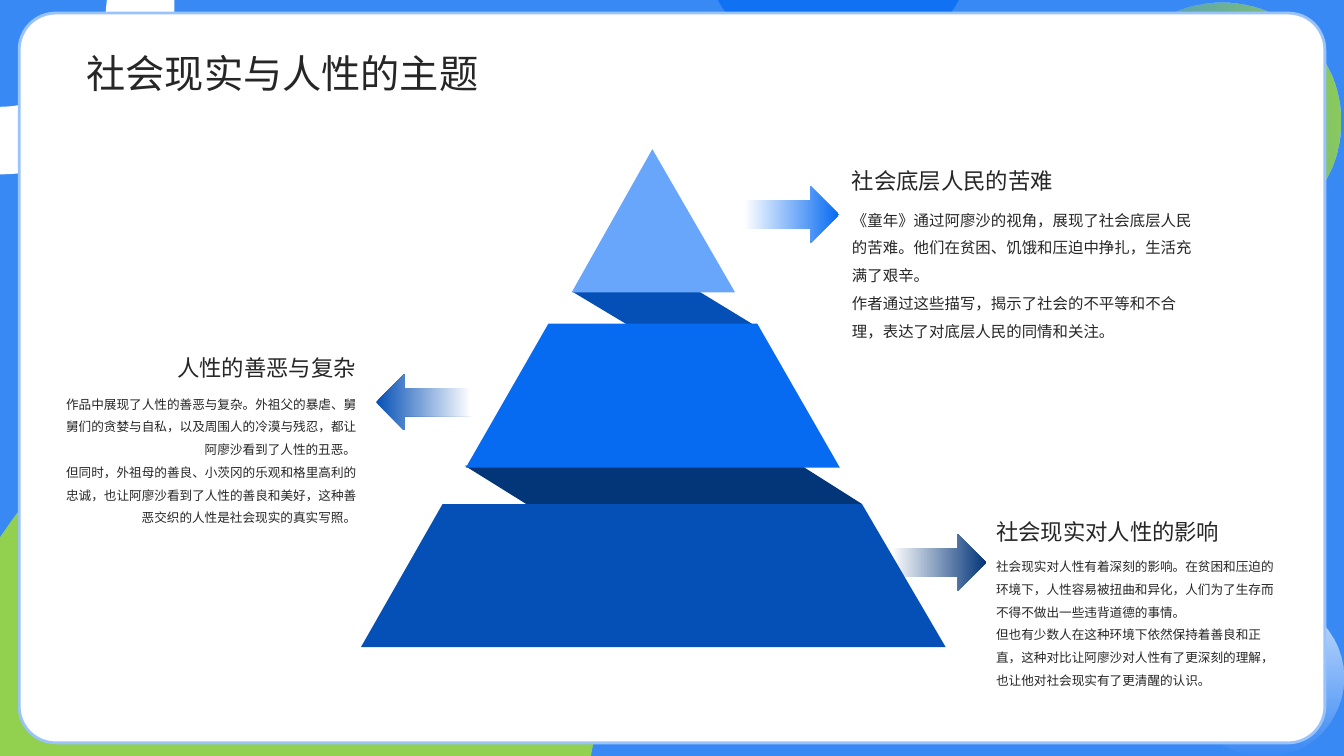
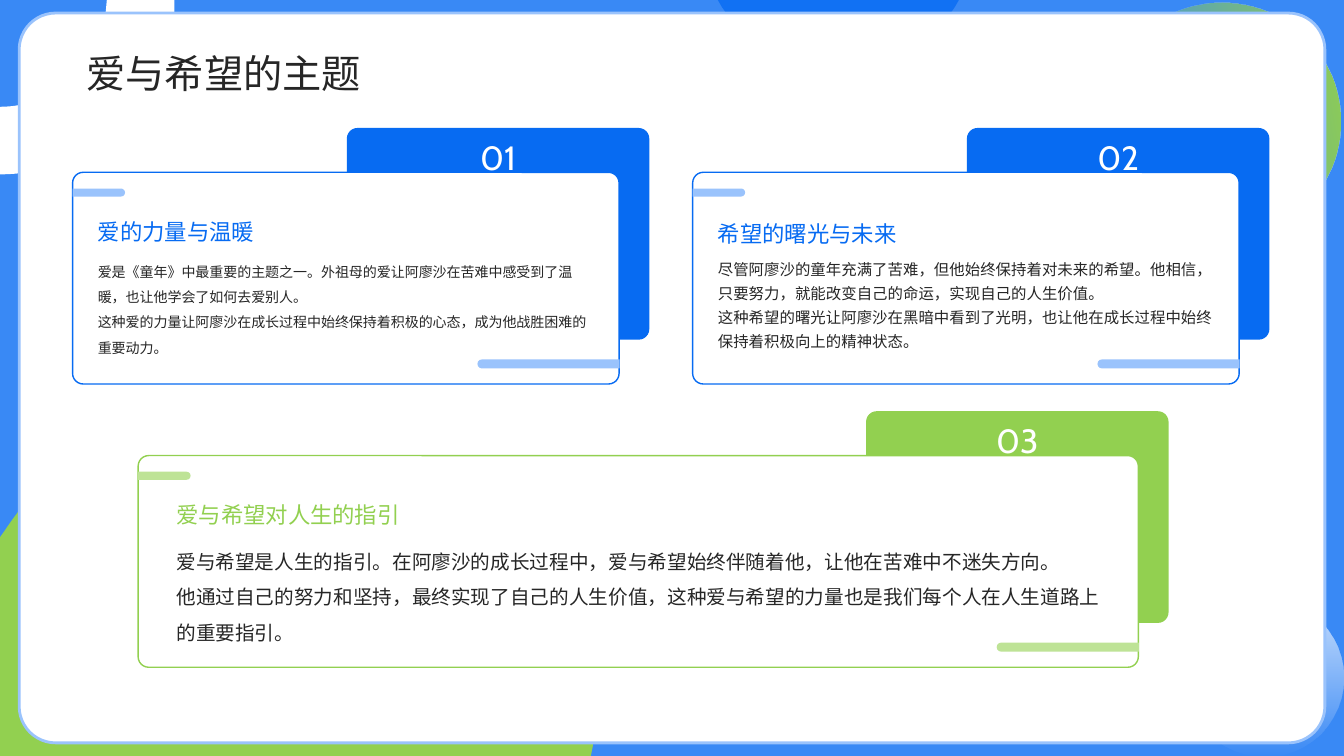
from lxml import etree
from pptx import Presentation, util as u
from pptx.dml.color import RGBColor
from pptx.enum import shapes, text
from pptx.oxml.ns import qn

PX = 9144
WIDTH, HEIGHT = 1333, 750
KIND = shapes.MSO_SHAPE


class Theme:
    sky = "3989F5"
    cap = "1171F3"
    pale = "CCE1FE"
    rim = "9AC3FC"
    light = "67A6FB"
    blue = "076BF2"
    deep = "0550B6"
    navy = "033579"
    green = "92D050"
    mint = "BEE396"
    white = "FFFFFF"
    ink = "262626"
    body_font = "Noto Sans CJK SC"
    number_font = "Cabin"
    title_size = 28
    number_size = 24
    heading_size = 16
    large_size = 14
    medium_size = 11
    small_size = 10
    tiny_size = 9


def paint(shape, fill, line=None, weight=1, angle=0, adjust=()):
    shape.shadow.inherit = False
    for index, value in enumerate(adjust):
        shape.adjustments[index] = value
    if isinstance(fill, str):
        shape.fill.solid()
        shape.fill.fore_color.rgb = RGBColor.from_string(fill)
    else:
        shape.fill.gradient()
        shape.fill.gradient_angle = (360 - angle) % 360
        for stop, (colour, _) in zip(shape.fill.gradient_stops, fill):
            stop.color.rgb = RGBColor.from_string(colour)
        tints = list(shape.element.spPr.iter(qn("a:srgbClr")))
        for tint, (_, opacity) in zip(tints, fill):
            if opacity < 100:
                etree.SubElement(tint, qn("a:alpha")).set("val", str(opacity * 1000))
    if line:
        shape.line.color.rgb = RGBColor.from_string(line)
        shape.line.width = u.Pt(weight)
    else:
        shape.line.fill.background()


def write(slide, box, *paragraphs, size, colour=Theme.ink, font=Theme.body_font,
          spacing=1.3, align=text.PP_ALIGN.LEFT, anchor=text.MSO_ANCHOR.TOP):
    frame = slide.shapes.add_textbox(*(v * PX for v in box)).text_frame
    frame.word_wrap = True
    frame.auto_size = text.MSO_AUTO_SIZE.SHAPE_TO_FIT_TEXT
    frame.vertical_anchor = anchor
    frame.margin_left = frame.margin_right = frame.margin_top = frame.margin_bottom = 0
    for index, words in enumerate(paragraphs):
        paragraph = frame.add_paragraph() if index else frame.paragraphs[0]
        paragraph.alignment = align
        paragraph.line_spacing = spacing
        paragraph._p.get_or_add_pPr().set("hangingPunct", "0")
        run = paragraph.add_run()
        run.text = words
        run.font.size = u.Pt(size)
        run.font.color.rgb = RGBColor.from_string(colour)
        run.font.name = font
        etree.SubElement(run.font._element, qn("a:ea")).set("typeface", font)


deck = Presentation()
deck.slide_width, deck.slide_height = WIDTH * PX, HEIGHT * PX

backdrop = [
    (Theme.green, (270, 383), [
        [(159, 383), (62, 440), (5, 526)], [(0, 533)], [(0, 750)], [(586, 750)], [(588, 740)],
        [(589, 729), (589, 718), (589, 706)], [(589, 528), (446, 383), (270, 383)]]),
    (Theme.white, (173, 0), [
        [(173, 18)], [(164, 105), (90, 173), (0, 173)], [(0, 106)],
        [(55, 106), (100, 64), (105, 11)], [(106, 0)]]),
    (Theme.cap, (712, 0), [
        [(951, 0)], [(947, 7)], [(922, 44), (880, 69), (832, 69)],
        [(783, 69), (741, 44), (716, 7)]]),
]

slides = []
for title in ("社会现实与人性的主题", "爱与希望的主题"):
    slide = deck.slides.add_slide(deck.slide_layouts[6])
    slides.append(slide)
    slide.background.fill.solid()
    slide.background.fill.fore_color.rgb = RGBColor.from_string(Theme.sky)
    for colour, start, steps in backdrop:
        builder = slide.shapes.build_freeform(*start, scale=PX)
        builder.add_line_segments([point for step in steps for point in step])
        blob = builder.convert_to_shape()
        corners = iter(list(blob.element.spPr.iter(qn("a:lnTo"))))
        for step in steps:
            nodes = [next(corners) for _ in step]
            if len(step) == 3:
                nodes[0].tag = qn("a:cubicBezTo")
                for node in nodes[1:]:
                    nodes[0].append(node[0])
                    node.getparent().remove(node)
        paint(blob, colour)
    bubble = slide.shapes.add_shape(KIND.OVAL, 1176 * PX, 594 * PX, 157 * PX, 157 * PX)
    paint(bubble, [(Theme.pale, 100), (Theme.pale, 0)], angle=90)
    ring = slide.shapes.add_shape(KIND.DONUT, 1094 * PX, 3 * PX, 236 * PX, 236 * PX)
    paint(ring, [(Theme.green, 0), (Theme.green, 100)], angle=350, adjust=[0.25])
    panel = slide.shapes.add_shape(KIND.ROUNDED_RECTANGLE, 19 * PX, 13 * PX, 1295 * PX, 724 * PX)
    paint(panel, Theme.white, line=Theme.rim, weight=2, adjust=[0.05])
    write(slide, (86, 42, 1167, 56), title, size=Theme.title_size, spacing=1.1,
          anchor=text.MSO_ANCHOR.MIDDLE)

pyramid_slide, cards_slide = slides

arrows = [
    (KIND.RIGHT_ARROW, 884, 530, Theme.white, Theme.navy),
    (KIND.RIGHT_ARROW, 738, 185, Theme.white, Theme.blue),
    (KIND.LEFT_ARROW, 373, 371, Theme.deep, Theme.white),
]
for kind, left, top, start, end in arrows:
    arrow = pyramid_slide.shapes.add_shape(kind, left * PX, top * PX, 94 * PX, 56 * PX)
    paint(arrow, [(start, 100), (end, 100)], adjust=[0.5, 0.5])

pyramid = [
    (Theme.navy, [(855, 500), (522, 500), (461, 462), (795, 462)]),
    (Theme.deep, [(752, 325), (627, 325), (567, 289), (693, 289)]),
    (Theme.deep, [(855, 500), (938, 642), (358, 642), (439, 500)]),
    (Theme.blue, [(544, 321), (751, 321), (833, 464), (462, 464)]),
    (Theme.light, [(567, 290), (647, 148), (729, 290)]),
]
for colour, corners in pyramid:
    builder = pyramid_slide.shapes.build_freeform(*corners[0], scale=PX)
    builder.add_line_segments(corners[1:])
    paint(builder.convert_to_shape(), colour)

levels = [
    (845, 161, 200, 339, Theme.medium_size, text.PP_ALIGN.LEFT, "社会底层人民的苦难",
     "《童年》通过阿廖沙的视角，展现了社会底层人民的苦难。他们在贫困、饥饿和压迫中挣扎，生活充满了艰辛。",
     "作者通过这些描写，揭示了社会的不平等和不合理，表达了对底层人民的同情和关注。"),
    (61, 347, 386, 292, Theme.tiny_size, text.PP_ALIGN.RIGHT, "人性的善恶与复杂",
     "作品中展现了人性的善恶与复杂。外祖父的暴虐、舅舅们的贪婪与自私，以及周围人的冷漠与残忍，都让阿廖沙看到了人性的丑恶。",
     "但同时，外祖母的善良、小茨冈的乐观和格里高利的忠诚，也让阿廖沙看到了人性的善良和美好，这种善恶交织的人性是社会现实的真实写照。"),
    (988, 510, 547, 286, Theme.tiny_size, text.PP_ALIGN.LEFT, "社会现实对人性的影响",
     "社会现实对人性有着深刻的影响。在贫困和压迫的环境下，人性容易被扭曲和异化，人们为了生存而不得不做出一些违背道德的事情。",
     "但也有少数人在这种环境下依然保持着善良和正直，这种对比让阿廖沙对人性有了更深刻的理解，也让他对社会现实有了更清醒的认识。"),
]
for left, heading_top, body_top, width, size, align, heading, *body in levels:
    write(pyramid_slide, (left, heading_top, width, 31), heading, size=Theme.heading_size,
          align=align, anchor=text.MSO_ANCHOR.BOTTOM)
    write(pyramid_slide, (left, body_top, width, 153), *body, size=size, spacing=1.5, align=align)

cards = [
    (72, 171, 542, 25, 493, Theme.blue, Theme.rim, Theme.small_size, 1.3, 1.5, "爱的力量与温暖",
     "爱是《童年》中最重要的主题之一。外祖母的爱让阿廖沙在苦难中感受到了温暖，也让他学会了如何去爱别人。",
     "这种爱的力量让阿廖沙在成长过程中始终保持着积极的心态，成为他战胜困难的重要动力。"),
    (687, 171, 542, 25, 493, Theme.blue, Theme.rim, Theme.medium_size, 1.5, 1.3, "希望的曙光与未来",
     "尽管阿廖沙的童年充满了苦难，但他始终保持着对未来的希望。他相信，只要努力，就能改变自己的命运，实现自己的人生价值。",
     "这种希望的曙光让阿廖沙在黑暗中看到了光明，也让他在成长过程中始终保持着积极向上的精神状态。"),
    (137, 452, 992, 38, 930, Theme.green, Theme.mint, Theme.large_size, 1.3, 1.5, "爱与希望对人生的指引",
     "爱与希望是人生的指引。在阿廖沙的成长过程中，爱与希望始终伴随着他，让他在苦难中不迷失方向。",
     "他通过自己的努力和坚持，最终实现了自己的人生价值，这种爱与希望的力量也是我们每个人在人生道路上的重要指引。"),
]
for number, card in enumerate(cards, 1):
    (left, top, width, inset, text_width, accent, tint, size,
     heading_spacing, body_spacing, heading, *body) = card
    right = left + width
    for x, y, w, fill, line in ((right - 270, top - 44, 300, accent, None),
                                (left, top, width, Theme.white, accent)):
        plate = cards_slide.shapes.add_shape(KIND.ROUNDED_RECTANGLE, x * PX, y * PX, w * PX, 210 * PX)
        paint(plate, fill, line=line, adjust=[0.05])
    for x, y, thick, length, turn in ((left + 26, top + 20, 8, 52, 90),
                                      (right - 70, top + 190, 9, 141, 270)):
        bar = cards_slide.shapes.add_shape(KIND.ROUND_2_SAME_RECTANGLE, (x - thick / 2) * PX,
                                           (y - length / 2) * PX, thick * PX, length * PX)
        bar.rotation = turn
        paint(bar, tint, adjust=[0.5, 0])
    write(cards_slide, (right - 167, top - 41, 94, 40), f"{number:02}", size=Theme.number_size,
          colour=Theme.white, font=Theme.number_font, align=text.PP_ALIGN.CENTER,
          anchor=text.MSO_ANCHOR.MIDDLE)
    write(cards_slide, (left + inset, top + 39, text_width, 31), heading, size=Theme.heading_size,
          colour=accent, spacing=heading_spacing, anchor=text.MSO_ANCHOR.MIDDLE)
    write(cards_slide, (left + inset, top + 82, text_width, 108), *body, size=size,
          spacing=body_spacing)

deck.save("out.pptx")
